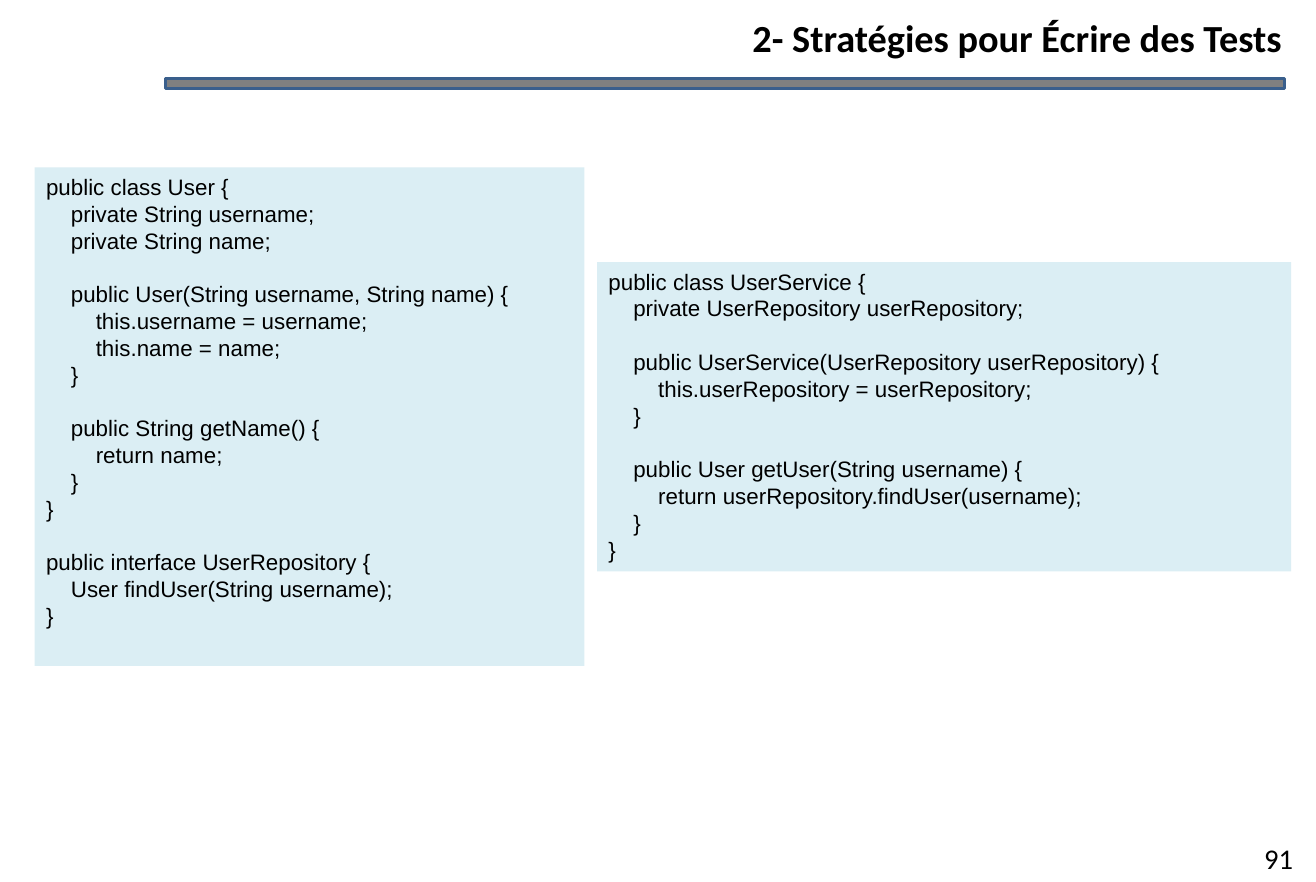
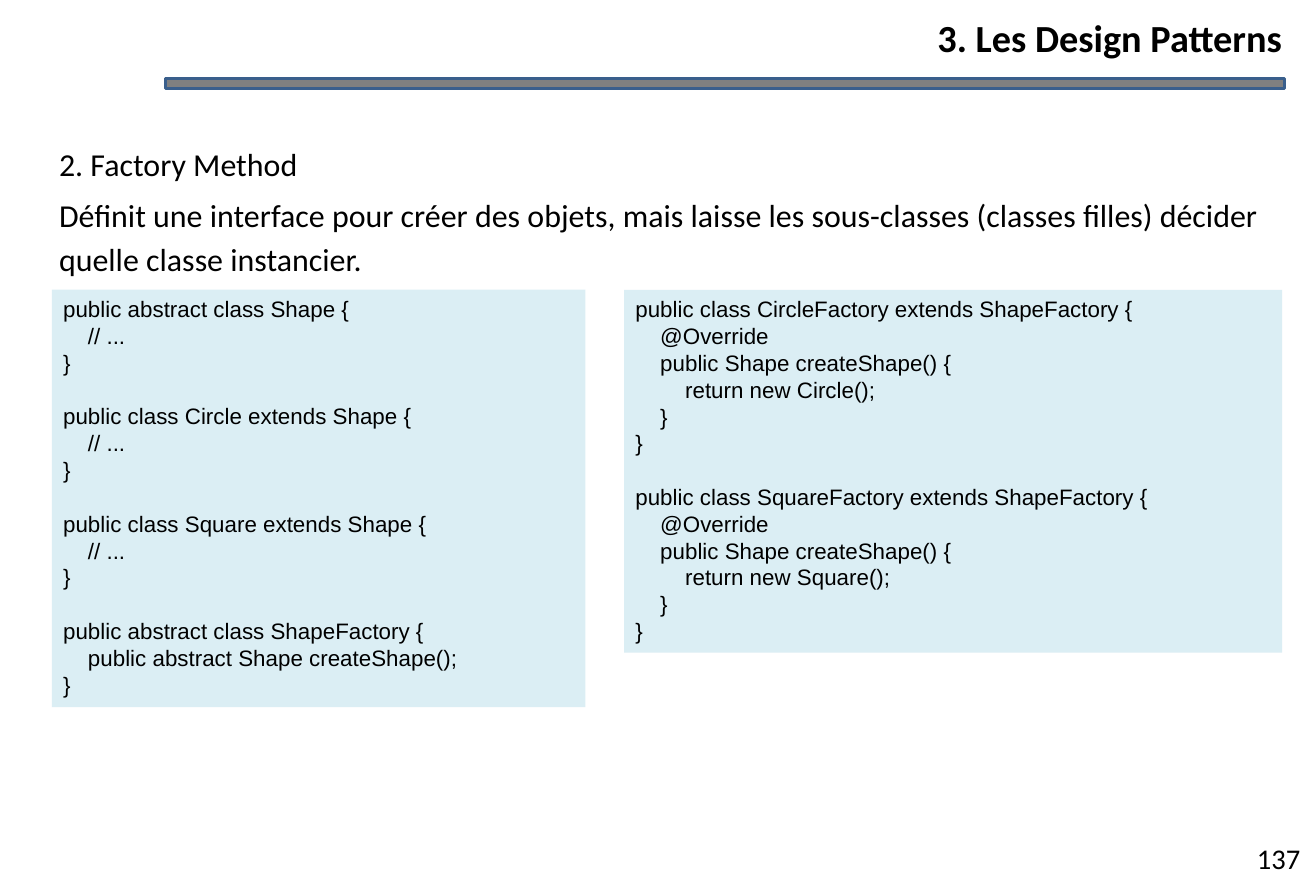
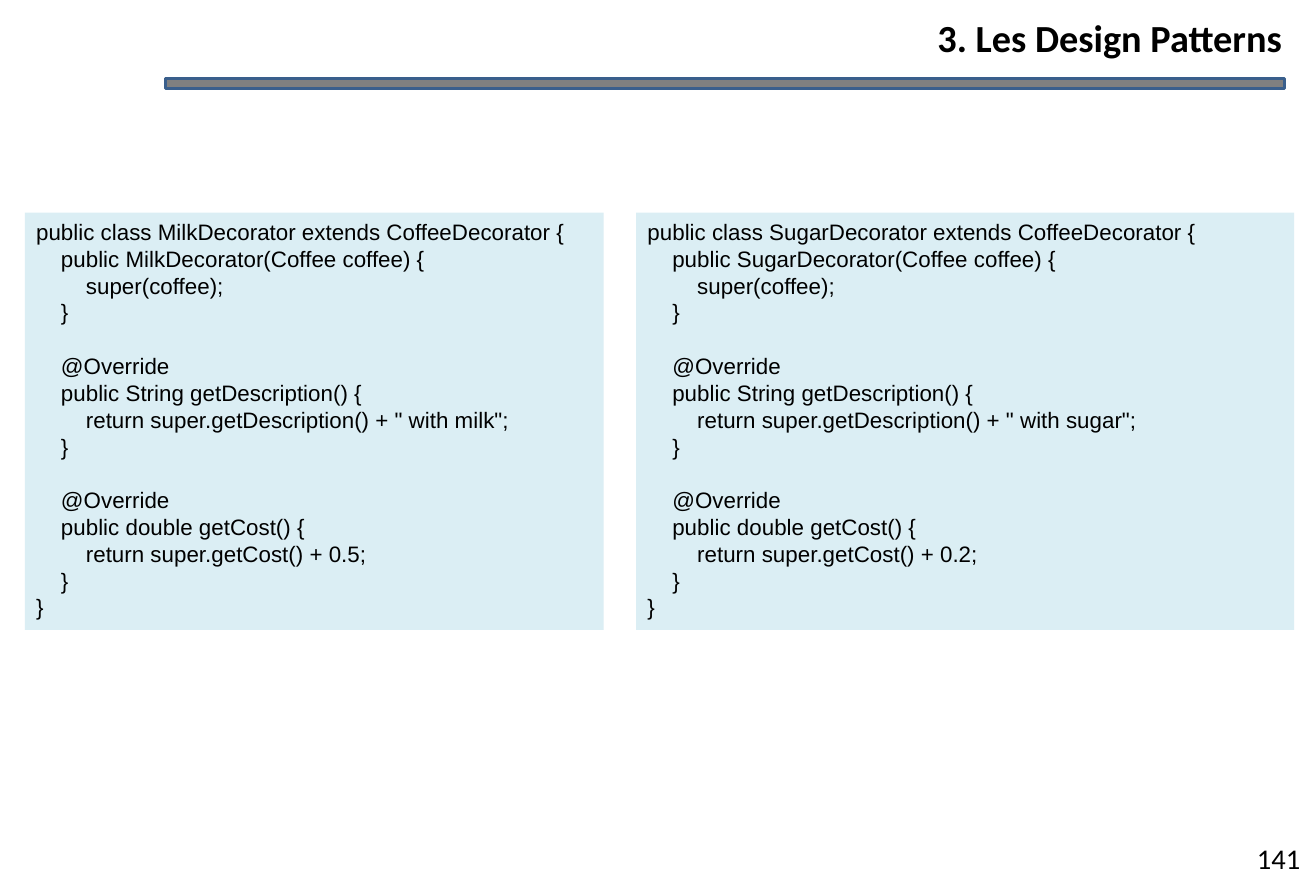
import pptx
import pptx.util
import pptx.dml.color
import pptx.enum.shapes
import pptx.enum.text
import pptx.oxml.ns
import lxml.etree

Pt = pptx.util.Pt
ALIGN = pptx.enum.text.PP_ALIGN
COLORS = {"text": "000000", "code": "DBEEF4", "band": "808080", "edge": "3A5F8C"}
CODE_LINE = 16.8
CODE_INDENT = 15.6

USER = """public class User {
    private String username;
    private String name;

    public User(String username, String name) {
        this.username = username;
        this.name = name;
    }

    public String getName() {
        return name;
    }
}

public interface UserRepository {
    User findUser(String username);
}"""

USER_SERVICE = """public class UserService {
    private UserRepository userRepository;

    public UserService(UserRepository userRepository) {
        this.userRepository = userRepository;
    }

    public User getUser(String username) {
        return userRepository.findUser(username);
    }
}"""

SHAPES = """public abstract class Shape {
    // ...
}

public class Circle extends Shape {
    // ...
}

public class Square extends Shape {
    // ...
}

public abstract class ShapeFactory {
    public abstract Shape createShape();
}"""

FACTORY = """public class %sFactory extends ShapeFactory {
    @Override
    public Shape createShape() {
        return new %s();
    }
}"""

DECORATOR = """public class %sDecorator extends CoffeeDecorator {
    public %sDecorator(Coffee coffee) {
        super(coffee);
    }

    @Override
    public String getDescription() {
        return super.getDescription() + " with %s";
    }

    @Override
    public double getCost() {
        return super.getCost() + %s;
    }
}"""


def color(name):
    return pptx.dml.color.RGBColor.from_string(COLORS[name])


def place(shape, left, top, width, height):
    shape.left, shape.top = Pt(left), Pt(top)
    shape.width, shape.height = Pt(width), Pt(height)


def prepare(frame):
    frame.word_wrap = True
    frame.auto_size = pptx.enum.text.MSO_AUTO_SIZE.NONE
    frame.vertical_anchor = pptx.enum.text.MSO_ANCHOR.TOP


def style(para, size, font="Calibri", bold=False, align=ALIGN.LEFT):
    para.alignment = align
    for span in para.runs:
        span.font.name = font
        span.font.size = Pt(size)
        span.font.bold = bold
        span.font.color.rgb = color("text")


def indent(para, points):
    properties = para._p.get_or_add_pPr()
    properties.set("marL", str(Pt(points)))
    properties.set("indent", "0")
    return properties


def add_rectangle(page, fill, left, top, width, height):
    box = page.shapes.add_shape(
        pptx.enum.shapes.MSO_SHAPE.RECTANGLE, Pt(left), Pt(top), Pt(width), Pt(height))
    box.shadow.inherit = False
    box.fill.solid()
    box.fill.fore_color.rgb = color(fill)
    box.line.fill.background()
    return box


def add_band(page):
    band = add_rectangle(page, "band", 103.7, 49.4, 701.6, 6)
    band.line.color.rgb = color("edge")
    band.line.width = Pt(2)
    band.element.nvSpPr.cNvPr.set("id", "20")
    page.slide_layout.shapes.element.append(band.element)


def add_page(deck, title, number):
    page = deck.slides.add_slide(deck.slide_layouts[1])
    heading = page.shapes.title
    place(heading, 140.7, 9, 663.1, 28.8)
    frame = heading.text_frame
    prepare(frame)
    frame.margin_left = frame.margin_right = frame.margin_top = frame.margin_bottom = 0
    frame.text = title
    style(frame.paragraphs[0], 24, bold=True, align=ALIGN.RIGHT)
    box = page.shapes.add_textbox(Pt(778.3), Pt(523.8), Pt(46.7), Pt(29))
    prepare(box.text_frame)
    box.text_frame.text = str(number)
    style(box.text_frame.paragraphs[0], 17.9, align=ALIGN.CENTER)
    return page


def set_body(page, lines):
    body = page.placeholders[1]
    if not lines:
        body.element.getparent().remove(body.element)
        return
    place(body, 15.4, 83.5, 793.4, 93.6)
    prepare(body.text_frame)
    body.text_frame.text = "\n".join(lines)
    for para in body.text_frame.paragraphs:
        style(para, 20)
        para.line_spacing = 1.15
        para.space_before = Pt(4.6)
        properties = indent(para, 14.4)
        lxml.etree.SubElement(properties, pptx.oxml.ns.qn("a:buNone"))


def add_code(page, code, left, top, width, height):
    box = add_rectangle(page, "code", left, top, width, height)
    frame = box.text_frame
    prepare(frame)
    gap = 0
    para = frame.paragraphs[0]
    for position, line in enumerate(code.split("\n")):
        if not line:
            gap = CODE_LINE
            continue
        if position:
            para = frame.add_paragraph()
        para.text = line.lstrip()
        style(para, 14, font="Arial")
        para.line_spacing = Pt(CODE_LINE)
        para.space_before = Pt(gap)
        indent(para, (len(line) - len(para.text)) // 4 * CODE_INDENT)
        gap = 0


def main():
    deck = pptx.Presentation()
    deck.slide_width, deck.slide_height = Pt(825.12), Pt(553)
    patterns = "3. Les Design Patterns"
    factories = "\n\n".join(FACTORY % (name, name) for name in ("Circle", "Square"))
    milk = DECORATOR % ("Milk", "Milk", "milk", "0.5")
    sugar = DECORATOR % ("Sugar", "Sugar", "sugar", "0.2")
    factory_text = [
        "2. Factory Method",
        "Définit une interface pour créer des objets, mais laisse les sous-classes "
        "(classes filles) décider quelle classe instancier.",
    ]
    pages = [
        ("2- Stratégies pour Écrire des Tests", 91, [], [
            (USER_SERVICE, 374.4, 164.4, 435.1, 193.9),
            (USER, 21.8, 105, 344.7, 312.6)]),
        (patterns, 137, factory_text, [
            (SHAPES, 32.5, 181.7, 334.6, 261.7),
            (factories, 391.3, 181.7, 412.6, 227.6)]),
        (patterns, 141, [], [
            (milk, 15.6, 133.3, 362.9, 261.7),
            (sugar, 398.9, 133.3, 412.6, 261.7)]),
    ]
    for title, number, lines, blocks in pages:
        page = add_page(deck, title, number)
        set_body(page, lines)
        for block in blocks:
            add_code(page, *block)
    add_band(deck.slides[0])
    deck.save("out.pptx")


if __name__ == "__main__":
    main()
